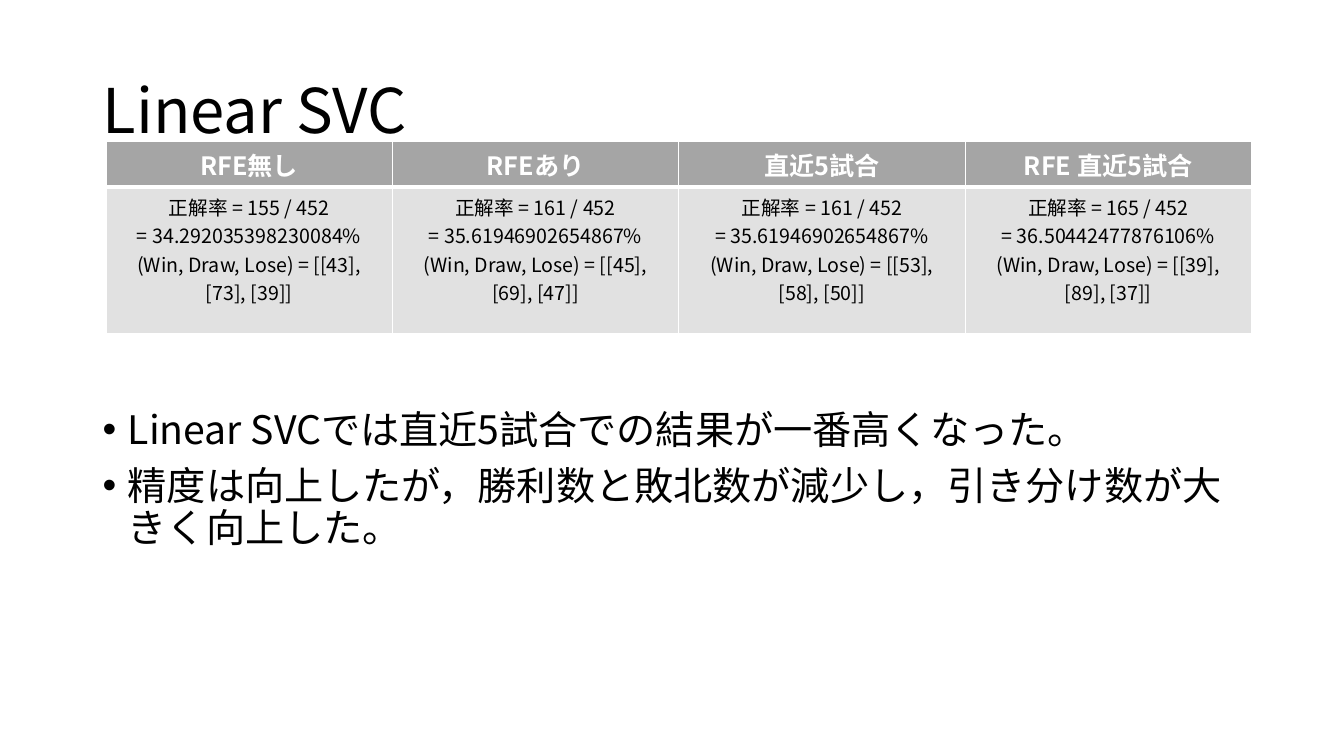
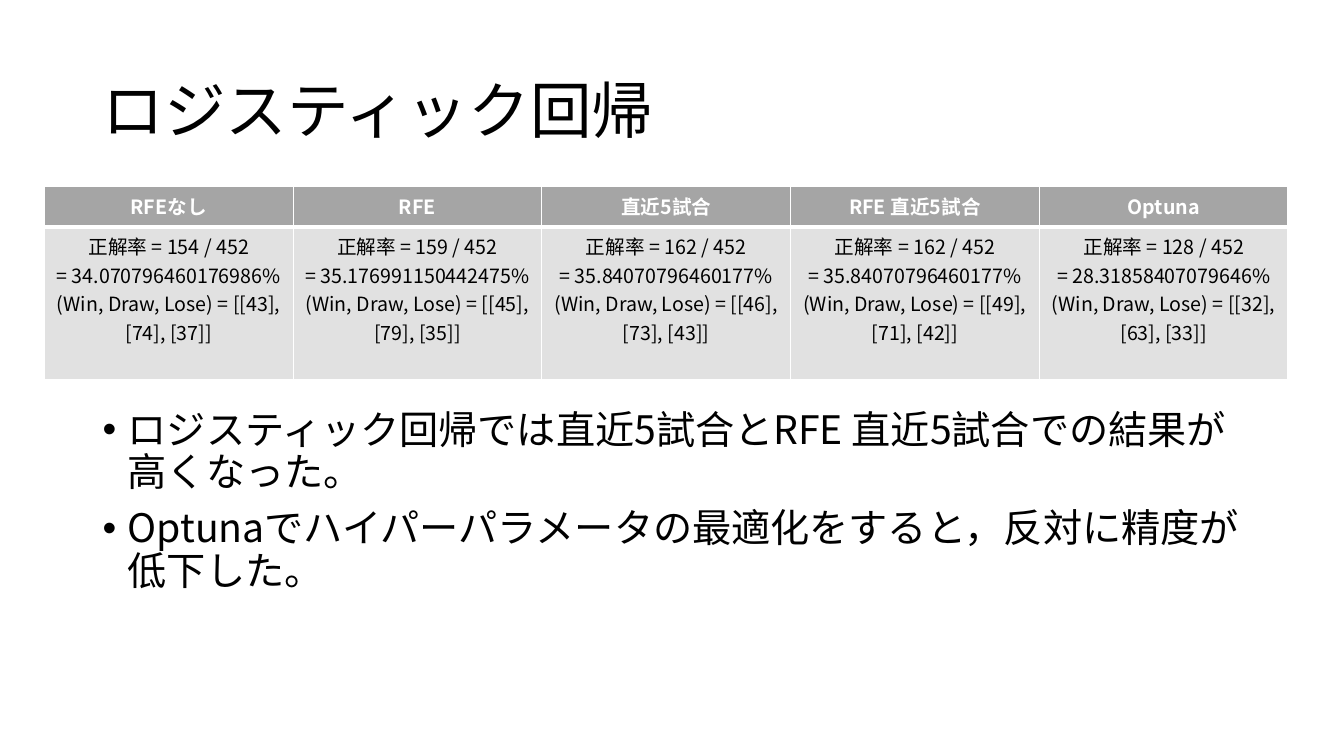
from dataclasses import dataclass
from lxml.etree import SubElement
from pptx import Presentation
from pptx.dml.color import RGBColor
from pptx.enum.text import MSO_ANCHOR as Anchor, PP_ALIGN as Align
from pptx.oxml.ns import qn
from pptx.util import Emu, Inches, Pt

# Shared look
COLORS = {"text": "000000", "header": "A5A5A5", "row": "E1E1E1", "line": "FFFFFF"}
FONT = "Noto Sans CJK JP"
WIDTH, HEIGHT = Inches(40 / 3), Inches(7.5)
MATCHES = 452
PROSE = {"line_spacing": 0.9}
POINTS = {"line_spacing": 0.9, "space_before": Pt(10)}
CENTERED = {"alignment": Align.CENTER}


@dataclass(frozen=True)
class Area:
    """Position and size in percent of the slide."""
    left: float
    top: float
    width: float
    height: float

    def lengths(self) -> tuple:
        return (across(self.left), down(self.top),
                across(self.width), down(self.height))


@dataclass(frozen=True)
class Result:
    method: str
    percent: str
    hits: tuple  # correct predictions of win, draw, lose

    def lines(self) -> list:
        counts = ", ".join(f"[{hit}]" for hit in self.hits)
        return [f"正解率 = {sum(self.hits)} / {MATCHES}",
                f"= {self.percent}%",
                f"(Win, Draw, Lose) = [{counts}]"]


@dataclass(frozen=True)
class Model:
    name: str
    results: list
    findings: list
    grid: Area
    header_height: float
    header_size: int


def across(percent: float) -> Emu:
    return Emu(round(WIDTH * percent / 100))


def down(percent: float) -> Emu:
    return Emu(round(HEIGHT * percent / 100))


HEADING = Area(6.9, 5.33, 86.25, 19.33)
FINDINGS = Area(6.9, 53.6, 86.25, 41.33)

MODELS = [
    Model(
        "Linear SVC",
        [Result("RFE無し", "34.292035398230084", (43, 73, 39)),
         Result("RFEあり", "35.61946902654867", (45, 69, 47)),
         Result("直近5試合", "35.61946902654867", (53, 58, 50)),
         Result("RFE 直近5試合", "36.50442477876106", (39, 89, 37))],
        ["Linear SVCでは直近5試合での結果が一番高くなった。",
         "精度は向上したが，勝利数と敗北数が減少し，引き分け数が大きく向上した。"],
        Area(7.88, 18.67, 85.25, 25.4), 6.1, 18),
    Model(
        "ロジスティック回帰",
        [Result("RFEなし", "34.070796460176986", (43, 74, 37)),
         Result("RFE", "35.176991150442475", (45, 79, 35)),
         Result("直近5試合", "35.84070796460177", (46, 73, 43)),
         Result("RFE 直近5試合", "35.84070796460177", (49, 71, 42)),
         Result("Optuna", "28.31858407079646", (32, 63, 33))],
        ["ロジスティック回帰では直近5試合とRFE 直近5試合での結果が高くなった。",
         "Optunaでハイパーパラメータの最適化をすると，反対に精度が低下した。"],
        Area(3.3, 24.67, 92.55, 25.6), 5.33, 14),
]


# Text
def write(frame, lines: list, size: int, layout: dict,
          color: str = "text", bold: bool = False) -> None:
    frame.word_wrap = True
    for index, line in enumerate(lines):
        paragraph = frame.add_paragraph() if index else frame.paragraphs[0]
        for key, value in layout.items():
            setattr(paragraph, key, value)
        run = paragraph.add_run()
        run.text = line
        for key, value in {"size": Pt(size), "name": FONT, "bold": bold}.items():
            setattr(run.font, key, value)
        run.font.color.rgb = RGBColor.from_string(COLORS[color])
        SubElement(run.font._element, qn("a:ea"), typeface=FONT)


def add_bullets(frame) -> None:
    for paragraph in frame.paragraphs:
        props = paragraph._p.get_or_add_pPr()
        for key, inches in {"marL": 0.25, "indent": -0.25}.items():
            props.set(key, str(Inches(inches)))
        SubElement(props, qn("a:buFont"), typeface="Arial")
        SubElement(props, qn("a:buChar"), char="•")


# Results table
def style_cell(cell, fill: str, bottom: int) -> None:
    props = cell._tc.get_or_add_tcPr()
    for side, points in {"L": 1, "R": 1, "T": 1, "B": bottom}.items():
        line = SubElement(props, qn(f"a:ln{side}"), w=str(Pt(points)))
        paint = SubElement(line, qn("a:solidFill"))
        SubElement(paint, qn("a:srgbClr"), val=COLORS["line"])
    cell.fill.solid()
    cell.fill.fore_color.rgb = RGBColor.from_string(COLORS[fill])


def draw_results(slide, model: Model) -> None:
    count = len(model.results)
    table = slide.shapes.add_table(2, count, *model.grid.lengths()).table
    table.rows[0].height = down(model.header_height)
    table.rows[1].height = down(model.grid.height - model.header_height)
    for column, result in enumerate(model.results):
        table.columns[column].width = across(model.grid.width / count)
        header, score = table.cell(0, column), table.cell(1, column)
        style_cell(header, "header", 3)
        style_cell(score, "row", 1)
        write(header.text_frame, [result.method], model.header_size,
              CENTERED, "line", True)
        write(score.text_frame, result.lines(), 14, CENTERED)


# Slides
def draw_model(deck, model: Model) -> None:
    slide = deck.slides.add_slide(deck.slide_layouts[6])
    heading = slide.shapes.add_textbox(*HEADING.lengths()).text_frame
    heading.vertical_anchor = Anchor.MIDDLE
    write(heading, [model.name], 44, PROSE)
    findings = slide.shapes.add_textbox(*FINDINGS.lengths()).text_frame
    write(findings, model.findings, 28, POINTS)
    add_bullets(findings)
    draw_results(slide, model)


deck = Presentation()
deck.slide_width, deck.slide_height = WIDTH, HEIGHT
for model in MODELS:
    draw_model(deck, model)
deck.save("out.pptx")
